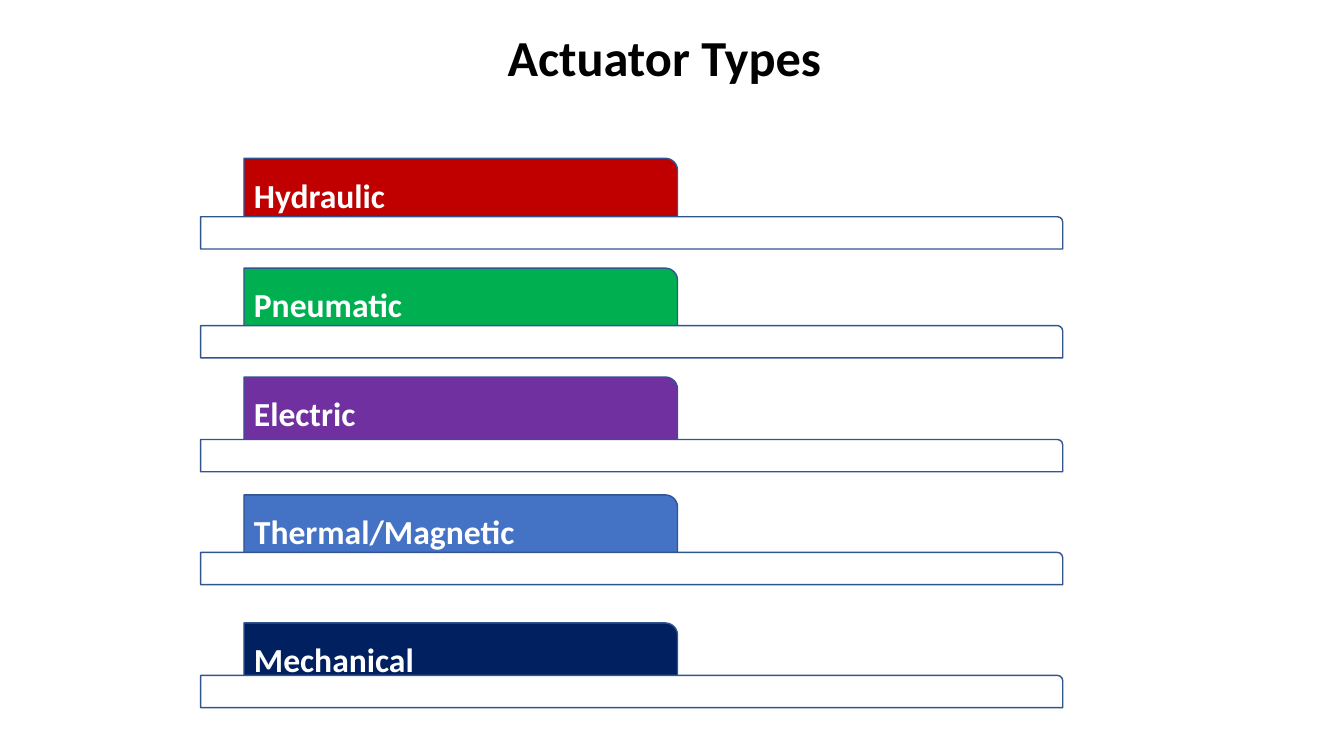
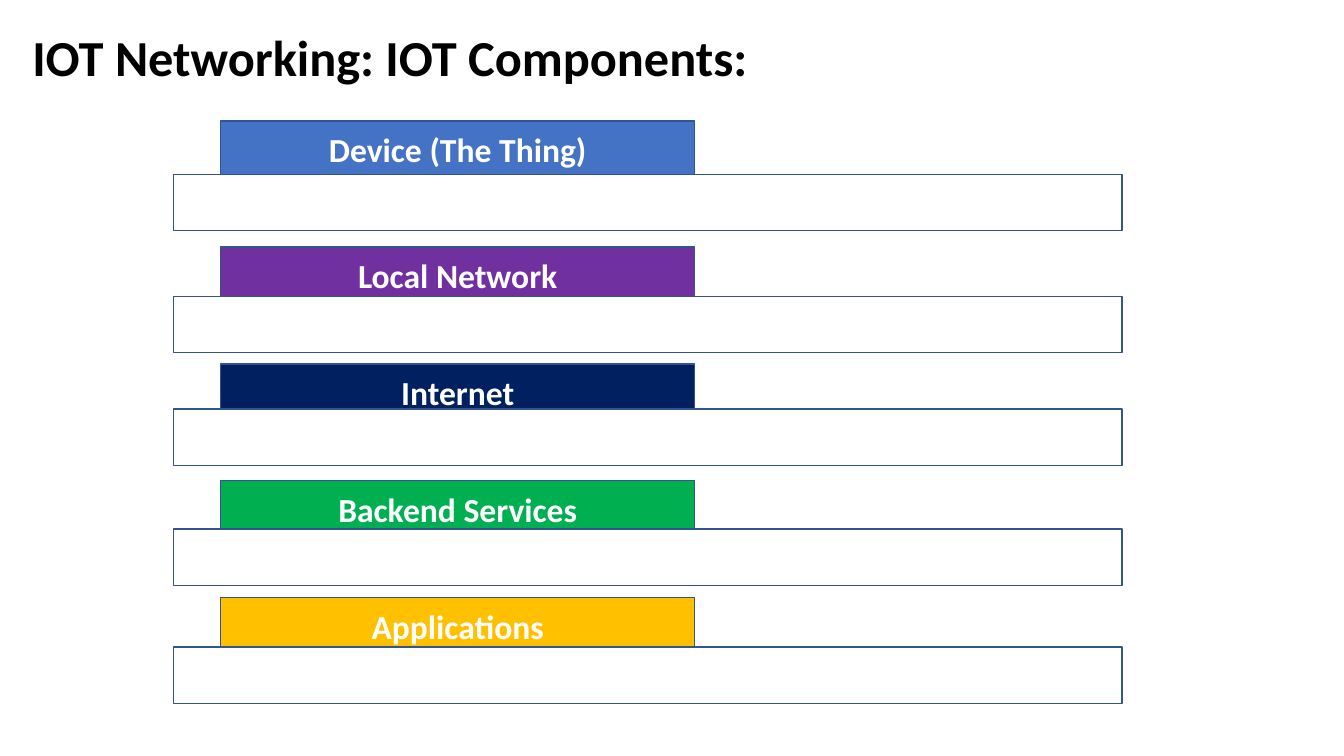
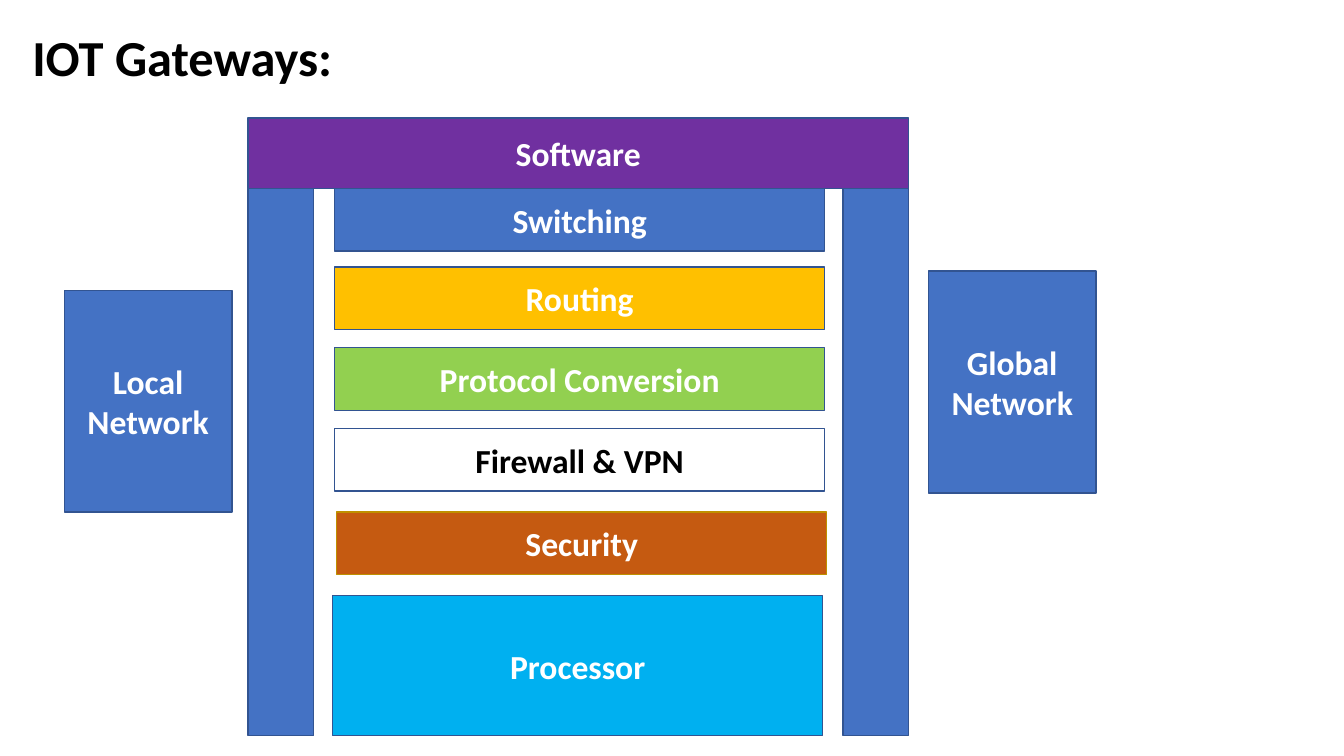
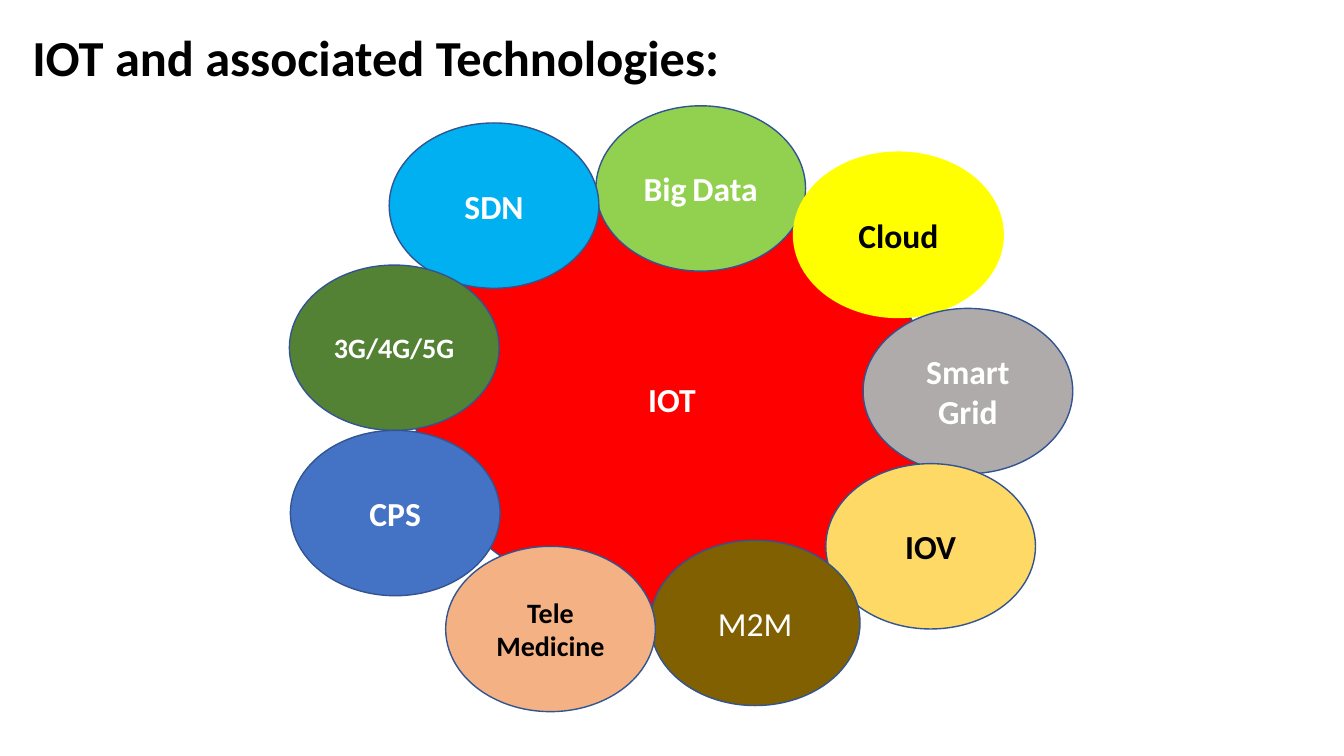
"""Build four slides on actuators, IOT components, gateways and technologies."""
from pptx import Presentation
from pptx.dml.color import RGBColor
from pptx.enum.shapes import MSO_SHAPE
from pptx.enum.text import MSO_ANCHOR, MSO_AUTO_SIZE, PP_ALIGN
from pptx.util import Inches, Pt

RECT, ROUND, OVAL = MSO_SHAPE.RECTANGLE, MSO_SHAPE.ROUND_1_RECTANGLE, MSO_SHAPE.OVAL
LEFT, CENTER = PP_ALIGN.LEFT, PP_ALIGN.CENTER
TOP, NO_FIT = MSO_ANCHOR.TOP, MSO_AUTO_SIZE.NONE
FONT = "Calibri"
TITLE_ONLY = 5
COLORS = {
    "black": "000000", "white": "FFFFFF", "outline": "325491", "blue": "4472C4",
    "navy": "002060", "sky": "00B0F0", "crimson": "C00000", "red": "FF0000",
    "green": "00B050", "lime": "92D050", "forest": "548235", "purple": "7030A0",
    "amber": "FFC000", "yellow": "FFFF00", "gold": "FFD966", "bronze": "BF9000",
    "brown": "806000", "rust": "C55A11", "peach": "F4B183", "gray": "AFABAB",
}

ACTUATORS = {
    "title": "Actuator Types", "title_align": CENTER, "shape": ROUND, "align": LEFT,
    "tab": (2.42, 4.3, 0.72), "bar": (1.99, 8.55, 0.32),
    "rows": [
        ("Hydraulic", "crimson", 1.57, 2.15),
        ("Pneumatic", "green", 2.66, 3.23),
        ("Electric", "purple", 3.74, 4.36),
        ("Thermal/Magnetic", "blue", 4.91, 5.48),
        ("Mechanical", "navy", 6.18, 6.7),
    ],
}
COMPONENTS = {
    "title": "IOT Networking: IOT Components:", "title_align": LEFT, "shape": RECT,
    "align": CENTER, "tab": (2.19, 4.7, 0.56), "bar": (1.72, 9.41, 0.56),
    "rows": [
        ("Device (The Thing)", "blue", 1.2, 1.73),
        ("Local Network", "purple", 2.45, 2.94),
        ("Internet", "navy", 3.61, 4.06),
        ("Backend Services", "green", 4.77, 5.25),
        ("Applications", "amber", 5.93, 6.42),
    ],
}

FRAME_LEFT, FRAME_TOP, FRAME_WIDTH, FRAME_BOTTOM = 2.46, 1.17, 6.55, 7.3
ROOF_HEIGHT, PILLAR_WIDTH = 0.7, 0.65
LAYER_WIDTH, LAYER_HEIGHT = 4.86, 0.62
LAYERS = [
    ("Switching", 3.32, 1.87, LAYER_HEIGHT, "blue", {}),
    ("Routing", 3.32, 2.65, LAYER_HEIGHT, "amber", {}),
    ("Protocol Conversion", 3.32, 3.45, LAYER_HEIGHT, "lime", {}),
    ("Firewall & VPN", 3.32, 4.25, LAYER_HEIGHT, "white", {"color": "black"}),
    ("Security", 3.34, 5.08, LAYER_HEIGHT, "rust", {"line": "bronze"}),
    ("Processor", 3.3, 5.91, 1.39, "sky", {}),
]
NETWORK_SIZE = (1.66, 2.2)
NETWORKS = [("Local Network", 0.64, 2.88), ("Global Network", 9.21, 2.69)]

HUB = (4.1, 1.87, 5.13, 4.17)
PETAL_SIZE = (2.08, 1.64)
BIG_DATA = [("Big", 24), (" ", 18), ("Data", 24)]
PETALS = [
    (BIG_DATA, 5.91, 1.05, "lime", {}),
    ("SDN", 3.86, 1.22, "sky", {}),
    ("3G/4G/5G", 2.87, 2.63, "forest", {"size": 20}),
    ("CPS", 2.88, 4.27, "blue", {}),
    ("Cloud", 7.87, 1.51, "yellow", {"color": "black", "line": "yellow"}),
    ("Smart Grid", 8.56, 3.06, "gray", {}),
    ("IOV", 8.19, 4.6, "gold", {"color": "black"}),
    ("M2M", 6.45, 5.36, "brown", {"bold": False}),
    ("Tele\nMedicine", 4.42, 5.42, "peach", {"color": "black", "size": 20}),
]


def rgb(name):
    """Return the named colour."""
    return RGBColor.from_string(COLORS[name])


def style(para, size, color, bold, align):
    """Set the font and alignment of a paragraph."""
    para.alignment = align
    para.font.name, para.font.size, para.font.bold = FONT, Pt(size), bold
    para.font.color.rgb = rgb(color)


def add_page(deck, heading, align=LEFT):
    """Add a slide with the shared title style."""
    page = deck.slides.add_slide(deck.slide_layouts[TITLE_ONLY])
    title = page.shapes.title
    title.left, title.top = Inches(0.22), Inches(0.28)
    title.width, title.height = Inches(12.74), Inches(0.7)
    frame = title.text_frame
    frame.text = heading
    frame.vertical_anchor, frame.auto_size = TOP, NO_FIT
    para = frame.paragraphs[0]
    para.line_spacing = 0.9
    style(para, 36, "black", True, align)
    return page


def add_box(page, kind, area, fill, label="", color="white", size=24, bold=True,
            align=CENTER, line="outline"):
    """Add a filled shape, labelled with text or with sized spans."""
    box = page.shapes.add_shape(kind, *map(Inches, area))
    box.shadow.inherit = False
    box.fill.solid()
    box.fill.fore_color.rgb = rgb(fill)
    box.line.color.rgb = rgb(line)
    box.line.width = Pt(1)
    frame = box.text_frame
    if isinstance(label, str):
        frame.text = label
    else:
        for text, points in label:
            span = frame.paragraphs[0].add_run()
            span.text = text
            span.font.size = Pt(points)
    for para in frame.paragraphs:
        style(para, size, color, bold, align)


def add_tabs_page(deck, content):
    """Add a slide of coloured tabs, each behind a white bar."""
    page = add_page(deck, content["title"], content["title_align"])
    left, width, height = content["tab"]
    for label, fill, top, _ in content["rows"]:
        add_box(page, content["shape"], (left, top, width, height), fill, label,
                align=content["align"])
    left, width, height = content["bar"]
    for *_, top in content["rows"]:
        add_box(page, content["shape"], (left, top, width, height), "white")


def add_gateway_page(deck):
    """Add the gateway stack between two networks."""
    page = add_page(deck, "IOT Gateways:")
    pillar_top = FRAME_TOP + ROOF_HEIGHT
    for left in (FRAME_LEFT, FRAME_LEFT + FRAME_WIDTH - PILLAR_WIDTH):
        add_box(page, RECT, (left, pillar_top, PILLAR_WIDTH, FRAME_BOTTOM - pillar_top), "blue")
    add_box(page, RECT, (FRAME_LEFT, FRAME_TOP, FRAME_WIDTH, ROOF_HEIGHT), "purple", "Software")
    for label, left, top, height, fill, options in LAYERS:
        add_box(page, RECT, (left, top, LAYER_WIDTH, height), fill, label, **options)
    for label, left, top in NETWORKS:
        add_box(page, RECT, (left, top, *NETWORK_SIZE), "blue", label)


def add_technology_page(deck):
    """Add the IOT hub ringed by its technologies."""
    page = add_page(deck, "IOT and associated Technologies:")
    add_box(page, OVAL, HUB, "red", "IOT")
    for label, left, top, fill, options in PETALS:
        add_box(page, OVAL, (left, top, *PETAL_SIZE), fill, label, **options)


def main():
    """Build and save the deck."""
    deck = Presentation()
    deck.slide_width, deck.slide_height = Inches(13.33), Inches(7.5)
    add_tabs_page(deck, ACTUATORS)
    add_tabs_page(deck, COMPONENTS)
    add_gateway_page(deck)
    add_technology_page(deck)
    deck.save("out.pptx")


if __name__ == "__main__":
    main()
